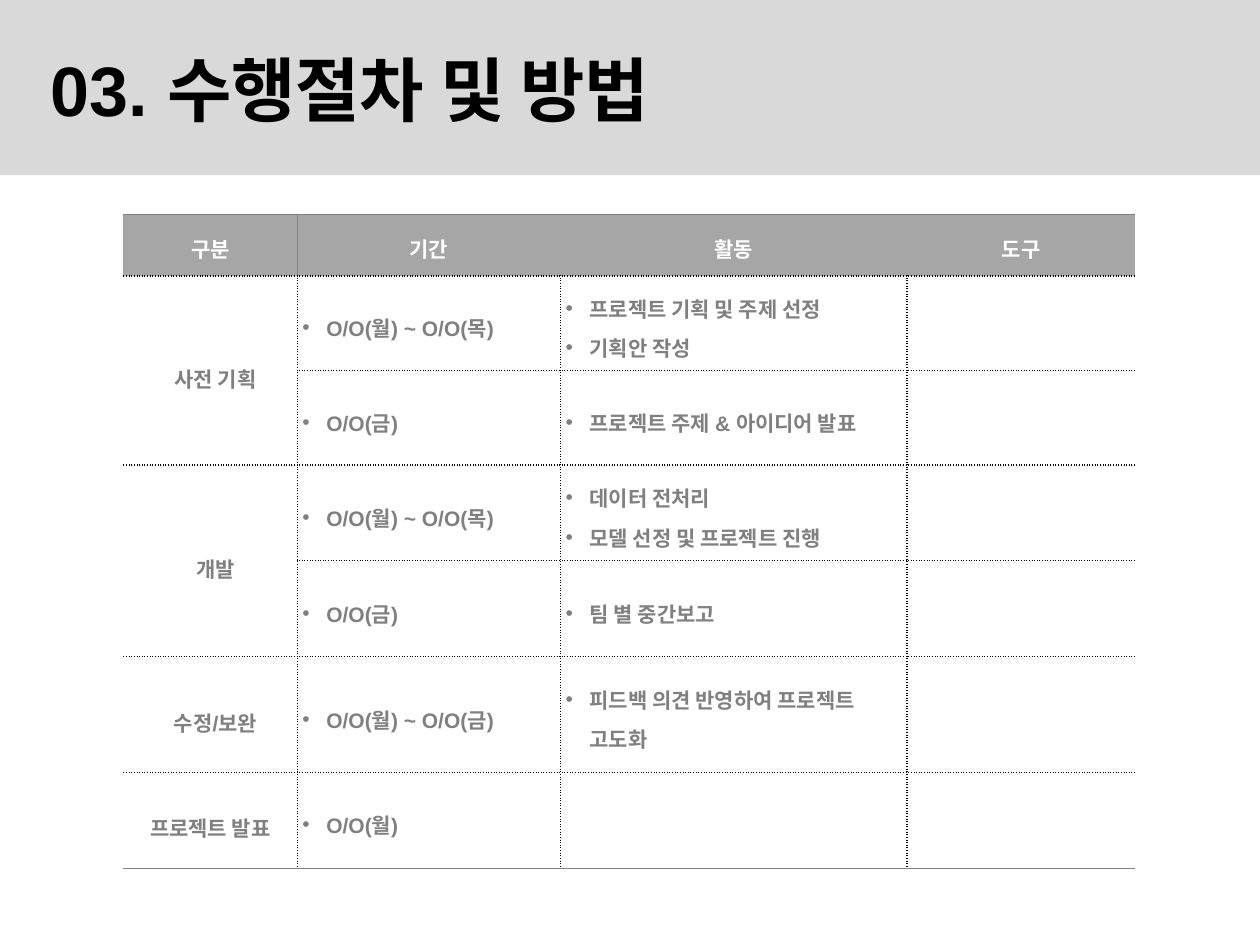
from lxml.etree import SubElement
from pptx import Presentation
from pptx.dml.color import RGBColor
from pptx.enum.shapes import MSO_SHAPE
from pptx.enum.text import MSO_ANCHOR, PP_ALIGN
from pptx.oxml.ns import qn
from pptx.util import Inches, Pt

BLACK = RGBColor(0x00, 0x00, 0x00)
WHITE = RGBColor(0xFF, 0xFF, 0xFF)
BAND_GRAY = RGBColor(0xD9, 0xD9, 0xD9)
HEADER_GRAY = RGBColor(0xA6, 0xA6, 0xA6)
TEXT_GRAY = RGBColor(0x80, 0x80, 0x80)

# Border styles: colour, width in points, dash
DOTTED = (BLACK, 1, "sysDot")
SOLID = (TEXT_GRAY, 0.5, "solid")

COLUMN_WIDTHS = [1.38, 2.09, 2.75, 1.81]
ROW_HEIGHTS = [0.49, 0.75, 0.75, 0.76, 0.76, 0.92, 0.76]
HEADERS = ["구분", "기간", "활동", "도구"]
# Stage, period, activities; an empty stage continues the one above
SCHEDULE = [
    ("사전 기획", "O/O(월) ~ O/O(목)", ["프로젝트 기획 및 주제 선정", "기획안 작성"]),
    ("", "O/O(금)", ["프로젝트 주제 & 아이디어 발표"]),
    ("개발", "O/O(월) ~ O/O(목)", ["데이터 전처리", "모델 선정 및 프로젝트 진행"]),
    ("", "O/O(금)", ["팀 별 중간보고"]),
    ("수정/보완", "O/O(월) ~ O/O(금)", ["피드백 의견 반영하여 프로젝트 \v고도화"]),
    ("프로젝트 발표", "O/O(월)", []),
]


class SlideBuilder:
    def __init__(self, slide):
        self.slide = slide
        self.font = "Arial"

    def style(self, paragraph, size, color):
        for run in paragraph.runs:
            run.font.name = self.font
            run.font.size = Pt(size)
            run.font.bold = True
            run.font.color.rgb = color

    def band(self, height):
        band = self.slide.shapes.add_shape(
            MSO_SHAPE.RECTANGLE, 0, 0, Inches(10), Inches(height))
        band.shadow.inherit = False
        band.fill.solid()
        band.fill.fore_color.rgb = BAND_GRAY
        band.line.fill.background()
        # Send behind the title
        self.slide.shapes._spTree.insert(2, band._element)

    def title(self, text, left, top, width, height):
        title = self.slide.shapes.title
        title.left, title.top = Inches(left), Inches(top)
        title.width, title.height = Inches(width), Inches(height)
        frame = title.text_frame
        frame.text = text
        frame.vertical_anchor = MSO_ANCHOR.MIDDLE
        frame.paragraphs[0].alignment = PP_ALIGN.LEFT
        self.style(frame.paragraphs[0], 40, BLACK)

    def table(self, left, top):
        frame = self.slide.shapes.add_table(
            len(ROW_HEIGHTS), len(COLUMN_WIDTHS), Inches(left), Inches(top),
            Inches(sum(COLUMN_WIDTHS)), Inches(sum(ROW_HEIGHTS)))
        table = frame.table
        table.first_row = table.horz_banding = False
        for column, width in zip(table.columns, COLUMN_WIDTHS):
            column.width = Inches(width)
        for row, height in zip(table.rows, ROW_HEIGHTS):
            row.height = Inches(height)
        return table

    def cell(self, cell, lines, spacing, color=TEXT_GRAY, inset=0.0,
             bullets=False, fill=None):
        cell.vertical_anchor = MSO_ANCHOR.MIDDLE
        cell.margin_left = Inches(inset)
        cell.margin_right = cell.margin_top = cell.margin_bottom = 0
        if fill is None:
            cell.fill.background()
        else:
            cell.fill.solid()
            cell.fill.fore_color.rgb = fill
        frame = cell.text_frame
        for index, line in enumerate(lines):
            paragraph = frame.add_paragraph() if index else frame.paragraphs[0]
            paragraph.text = line
            paragraph.line_spacing = spacing
            paragraph.alignment = PP_ALIGN.LEFT if bullets else PP_ALIGN.CENTER
            if bullets:
                self.bullet(paragraph)
            self.style(paragraph, 12, color)

    def bullet(self, paragraph):
        properties = paragraph._p.get_or_add_pPr()
        properties.set("marL", str(Inches(0.19)))
        properties.set("indent", str(-Inches(0.19)))
        SubElement(properties, qn("a:buFont"), typeface=self.font)
        SubElement(properties, qn("a:buChar"), char="•")

    def borders(self, cell, left, right, top, bottom):
        properties = cell._tc.get_or_add_tcPr()
        for side, border in zip("LRTB", (left, right, top, bottom)):
            if border is None:
                line = SubElement(properties, qn(f"a:ln{side}"), w="0")
                SubElement(line, qn("a:noFill"))
                continue
            color, width, dash = border
            line = SubElement(properties, qn(f"a:ln{side}"), w=str(Pt(width)))
            fill = SubElement(line, qn("a:solidFill"))
            SubElement(fill, qn("a:srgbClr"), val=str(color))
            SubElement(line, qn("a:prstDash"), val=dash)


def column_border(row, edge):
    """Border on a vertical edge, counted from the left of the table."""
    if edge in (0, len(COLUMN_WIDTHS)):
        return None
    if row == 0:
        return SOLID if edge == 1 else None
    return DOTTED


def row_border(edge):
    """Border on a horizontal edge, counted from the top of the table."""
    return SOLID if edge in (0, len(ROW_HEIGHTS)) else DOTTED


def main():
    presentation = Presentation()
    presentation.slide_width, presentation.slide_height = Inches(10), Inches(7.5)
    builder = SlideBuilder(
        presentation.slides.add_slide(presentation.slide_layouts[5]))

    # Heading
    builder.band(1.39)
    builder.title("03. 수행절차 및 방법", 0.3, 0.41, 7.44, 0.59)

    # Table grid
    table = builder.table(0.98, 1.7)
    for row in range(len(ROW_HEIGHTS)):
        for column in range(len(COLUMN_WIDTHS)):
            builder.borders(
                table.cell(row, column),
                column_border(row, column), column_border(row, column + 1),
                row_border(row), row_border(row + 1))

    # Header row
    for column, header in enumerate(HEADERS):
        builder.cell(table.cell(0, column), [header], 1.2, WHITE, fill=HEADER_GRAY)

    # Schedule rows
    last = len(SCHEDULE)
    for row, (stage, period, activities) in enumerate(SCHEDULE, start=1):
        builder.cell(table.cell(row, 0), [stage] if stage else [], 1.5,
                     inset=0 if row == last else 0.08)
        for column, lines in enumerate(([period], activities, []), start=1):
            builder.cell(table.cell(row, column), lines, 1.3,
                         inset=0.04, bullets=True)
        if not stage:
            table.cell(row - 1, 0).merge(table.cell(row, 0))

    presentation.save("out.pptx")


if __name__ == "__main__":
    main()
